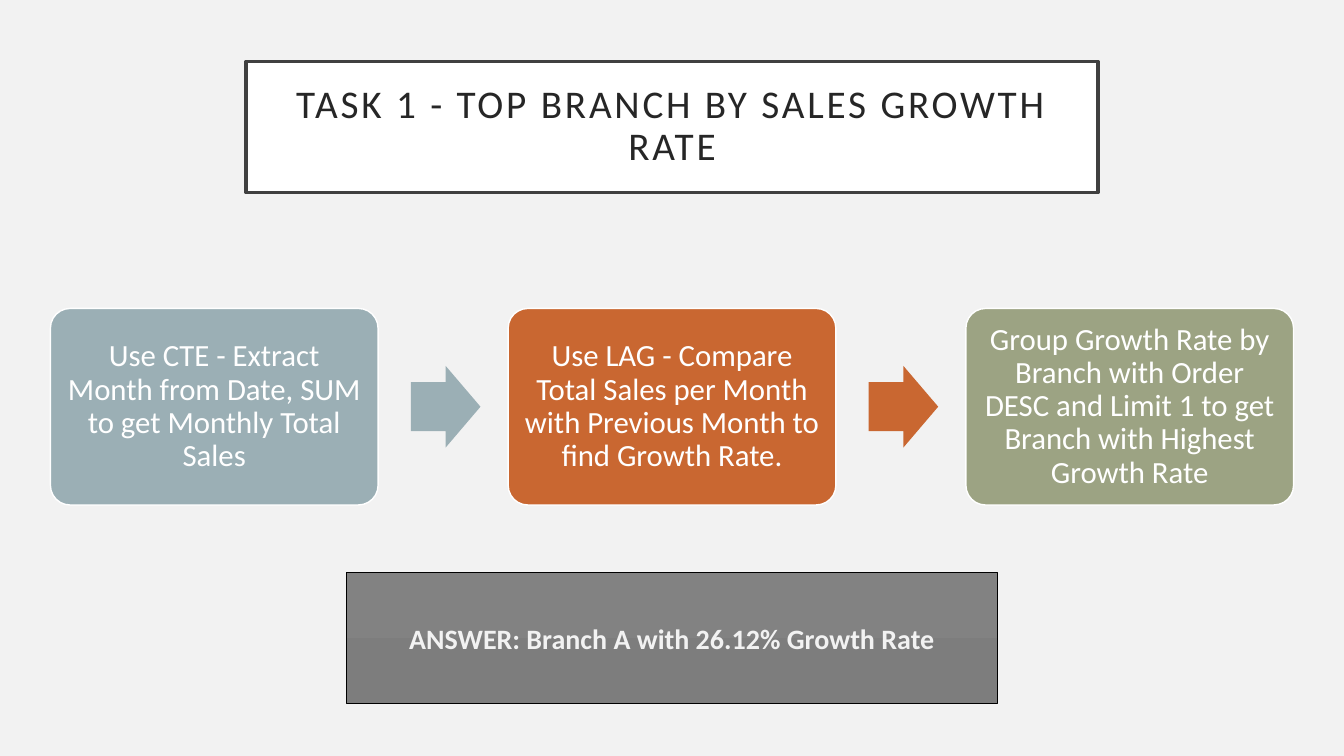
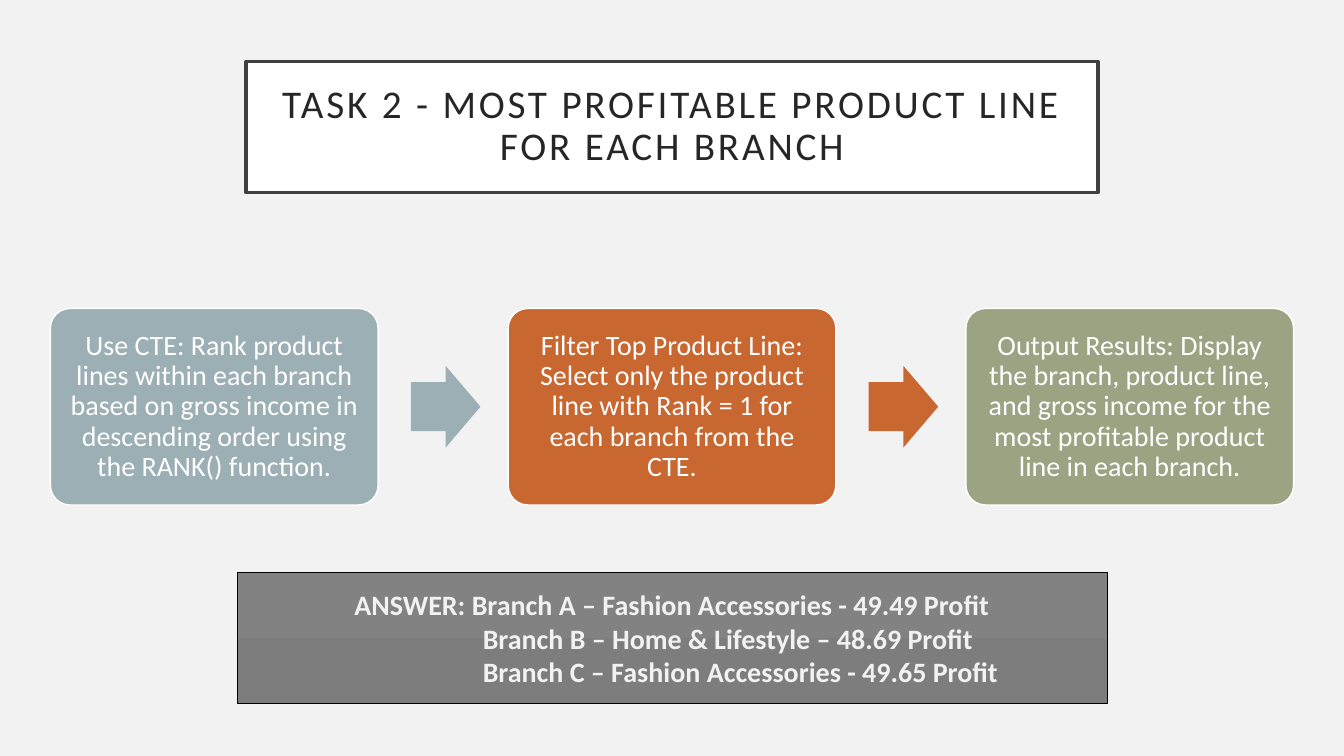
"""Build two task slides, each with a title, a three-step flow and an answer box."""
from pptx import Presentation
from pptx.dml.color import RGBColor
from pptx.enum.shapes import MSO_SHAPE
from pptx.enum.text import MSO_ANCHOR, MSO_AUTO_SIZE, PP_ALIGN
from pptx.util import Inches, Pt

ROUNDED = MSO_SHAPE.ROUNDED_RECTANGLE
ARROW = MSO_SHAPE.RIGHT_ARROW
RECTANGLE = MSO_SHAPE.RECTANGLE
MIDDLE = MSO_ANCHOR.MIDDLE
NO_AUTOFIT = MSO_AUTO_SIZE.NONE
CENTER = PP_ALIGN.CENTER
LEFT = PP_ALIGN.LEFT

COLORS = {
    "background": "F2F2F2",
    "white": "FFFFFF",
    "title_line": "404040",
    "title_text": "262626",
    "answer_top": "828282",
    "answer_bottom": "7D7D7D",
    "answer_line": "000000",
}
STEP_COLORS = ["9BAFB5", "C96731", "9CA383"]

SLIDE_WIDTH, SLIDE_HEIGHT = 13.33, 7.5
MARGIN = 0.5
STEP_WIDTH, STEP_HEIGHT, STEP_TOP = 3.25, 1.95, 3.06
STEP_PITCH = (SLIDE_WIDTH - 2 * MARGIN - STEP_WIDTH) / (len(STEP_COLORS) - 1)
ARROW_WIDTH, ARROW_HEIGHT = 0.69, 0.81
ARROW_GAP = STEP_WIDTH / 10
BAND_HEIGHT = 1.3
TITLE_WIDTH, TITLE_TOP = 8.45, 0.61
ANSWER_TOP = 5.68
ANSWER_INDENT = 2.34

TITLE_FONT = {"name": "Calibri", "size": Pt(28), "bold": False}
STEP_FONT = {"name": "Calibri"}
ANSWER_FONT = {"name": "Calibri", "size": Pt(20), "bold": True}

TASKS = [
    {
        "title": "TASK 1 - TOP BRANCH BY SALES GROWTH RATE",
        "step_size": 22,
        "step_inset": 0.09,
        "steps": [
            "Use CTE - Extract Month from Date, SUM to get Monthly Total Sales",
            "Use LAG - Compare Total Sales per Month with Previous Month to find Growth Rate.",
            "Group Growth Rate by Branch with Order DESC and Limit 1 to get Branch with "
            "Highest Growth Rate",
        ],
        "answer_width": 6.46,
        "answer": ["ANSWER: Branch A with 26.12% Growth Rate"],
    },
    {
        "title": "TASK 2 - MOST PROFITABLE PRODUCT LINE FOR EACH BRANCH",
        "step_size": 20,
        "step_inset": 0.08,
        "steps": [
            "Use CTE: Rank product lines within each branch based on gross income in "
            "descending order using the RANK() function.",
            "Filter Top Product Line: Select only the product line with Rank = 1 for each "
            "branch from the CTE.",
            "Output Results: Display the branch, product line, and gross income for the most "
            "profitable product line in each branch.",
        ],
        "answer_width": 8.63,
        "answer": [
            "ANSWER: Branch A – Fashion Accessories - 49.49 Profit",
            "Branch B – Home & Lifestyle – 48.69 Profit",
            "Branch C – Fashion Accessories - 49.65 Profit",
        ],
    },
]


def rgb(color):
    return RGBColor.from_string(color)


def apply_format(target, values):
    for name, value in values.items():
        setattr(target, name, value)


def centered_left(width):
    return (SLIDE_WIDTH - width) / 2


def set_line(shape, color, width):
    shape.line.color.rgb = rgb(color)
    shape.line.width = Pt(width)


def set_solid(shape, color):
    shape.fill.solid()
    shape.fill.fore_color.rgb = rgb(color)


def set_frame(shape, inset):
    sides = ("margin_left", "margin_top", "margin_right", "margin_bottom")
    apply_format(shape.text_frame, dict.fromkeys(sides, Inches(inset)))
    apply_format(shape.text_frame, {
        "word_wrap": True, "auto_size": NO_AUTOFIT, "vertical_anchor": MIDDLE,
    })


def write(paragraph, text, font, color, **paragraph_format):
    run = paragraph.add_run()
    run.text = text
    apply_format(run.font, font)
    run.font.color.rgb = rgb(color)
    apply_format(paragraph, {"alignment": CENTER, **paragraph_format})
    return run


def add_shape(slide, kind, left, top, width, height):
    shape = slide.shapes.add_shape(
        kind, Inches(left), Inches(top), Inches(width), Inches(height))
    shape.shadow.inherit = False
    return shape


def add_title(slide, text):
    title = slide.shapes.title
    apply_format(title, {
        "left": Inches(centered_left(TITLE_WIDTH)), "top": Inches(TITLE_TOP),
        "width": Inches(TITLE_WIDTH), "height": Inches(BAND_HEIGHT),
    })
    set_solid(title, COLORS["white"])
    set_line(title, COLORS["title_line"], 2.5)
    set_frame(title, 0.2)
    run = write(title.text_frame.paragraphs[0], text, TITLE_FONT,
                COLORS["title_text"], line_spacing=0.9)
    run.font._element.set("spc", "200")


def add_step(slide, left, text, color, size, inset):
    step = add_shape(slide, ROUNDED, left, STEP_TOP, STEP_WIDTH, STEP_HEIGHT)
    step.adjustments[0] = 0.1
    set_solid(step, color)
    set_line(step, COLORS["white"], 1)
    set_frame(step, inset)
    write(step.text_frame.paragraphs[0], text, {**STEP_FONT, "size": Pt(size)},
          COLORS["white"], line_spacing=0.9)


def add_arrow(slide, left, color):
    top = STEP_TOP + (STEP_HEIGHT - ARROW_HEIGHT) / 2
    arrow = add_shape(slide, ARROW, left, top, ARROW_WIDTH, ARROW_HEIGHT)
    arrow.adjustments[0] = 0.6
    arrow.adjustments[1] = 0.5
    set_solid(arrow, color)
    arrow.line.fill.background()


def add_flow(slide, task):
    for index, (text, color) in enumerate(zip(task["steps"], STEP_COLORS)):
        left = MARGIN + index * STEP_PITCH
        add_step(slide, left, text, color, task["step_size"], task["step_inset"])
        if index < len(STEP_COLORS) - 1:
            add_arrow(slide, left + STEP_WIDTH + ARROW_GAP, color)


def add_answer(slide, lines, width):
    answer = add_shape(slide, RECTANGLE, centered_left(width), ANSWER_TOP, width, BAND_HEIGHT)
    answer.fill.gradient()
    answer.fill.gradient_angle = 270
    for stop, position, name in zip(answer.fill.gradient_stops, (0, 1),
                                    ("answer_top", "answer_bottom")):
        stop.position = position
        stop.color.rgb = rgb(COLORS[name])
    set_line(answer, COLORS["answer_line"], 0.5)
    set_frame(answer, 0.1)
    frame = answer.text_frame
    write(frame.paragraphs[0], lines[0], ANSWER_FONT, COLORS["background"])
    for line in lines[1:]:
        paragraph = frame.add_paragraph()
        write(paragraph, line, ANSWER_FONT, COLORS["background"], alignment=LEFT)
        paragraph._p.get_or_add_pPr().set("marL", str(Inches(ANSWER_INDENT)))


def main():
    presentation = Presentation()
    presentation.slide_width = Inches(SLIDE_WIDTH)
    presentation.slide_height = Inches(SLIDE_HEIGHT)
    set_background = presentation.slide_master.background.fill
    set_background.solid()
    set_background.fore_color.rgb = rgb(COLORS["background"])
    title_only = presentation.slide_layouts.get_by_name("Title Only")
    for task in TASKS:
        slide = presentation.slides.add_slide(title_only)
        add_title(slide, task["title"])
        add_flow(slide, task)
        add_answer(slide, task["answer"], task["answer_width"])
    presentation.save("out.pptx")


if __name__ == "__main__":
    main()
